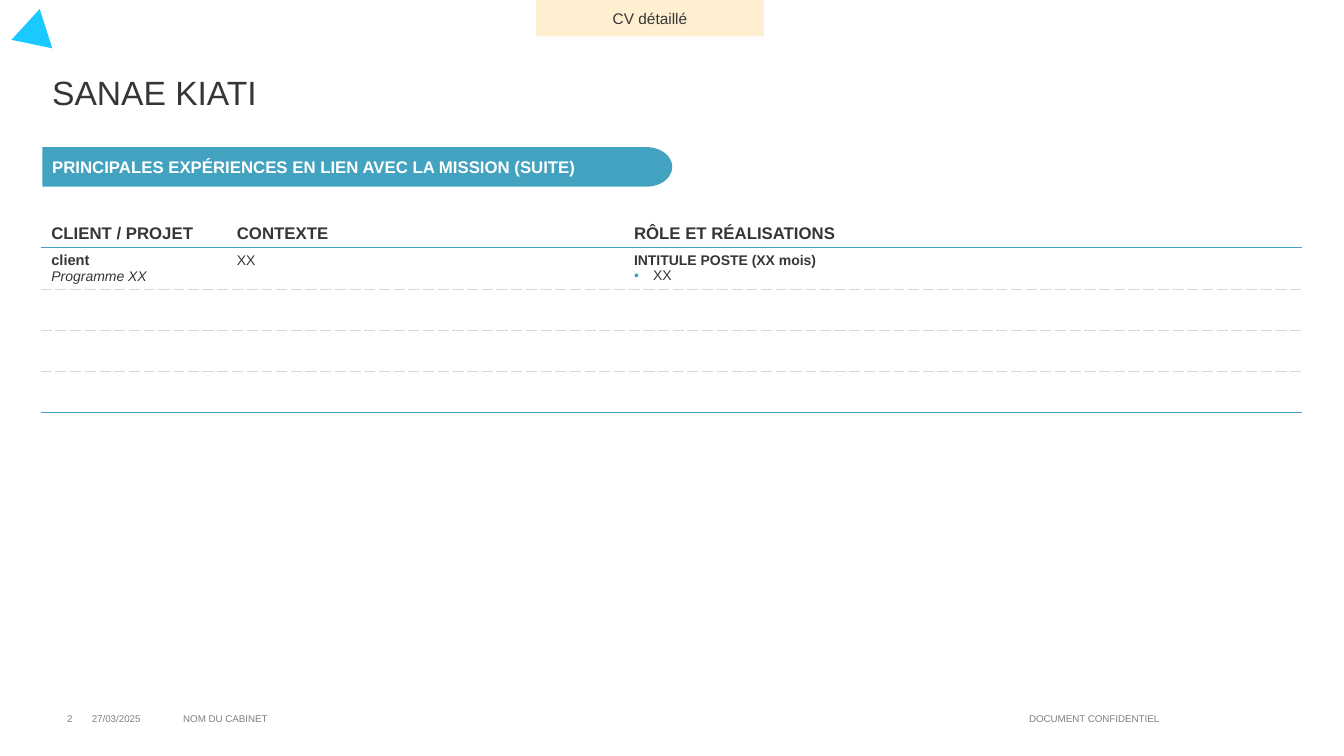
import math
import lxml.etree
import pptx
import pptx.dml.color
import pptx.enum.shapes
import pptx.enum.text
import pptx.oxml.ns
import pptx.util

Pt = pptx.util.Pt
RGB = pptx.dml.color.RGBColor
ALIGN = pptx.enum.text.PP_ALIGN
ANCHOR = pptx.enum.text.MSO_ANCHOR
SHAPE = pptx.enum.shapes.MSO_SHAPE
qn = pptx.oxml.ns.qn

DARK = RGB(0x35, 0x36, 0x37)
GREY = RGB(0x80, 0x80, 0x80)
WHITE = RGB(0xFF, 0xFF, 0xFF)
TEAL = RGB(0x43, 0xA2, 0xBF)
CYAN = RGB(0x1A, 0xC9, 0xFF)
CREAM = RGB(0xFF, 0xEF, 0xD1)
PALE = RGB(0xD6, 0xD7, 0xD8)

TITLE = "SANAE KIATI"
BANNER = "PRINCIPALES EXPÉRIENCES EN LIEN AVEC LA MISSION (SUITE)"
TAG = "CV détaillé"
FOOTER = [
    ("2", 30.2, 28.8, ALIGN.RIGHT, True),
    ("27/03/2025", 58.5, 64.8, ALIGN.LEFT, True),
    ("NOM DU CABINET", 123.8, 604, ALIGN.LEFT, True),
    ("DOCUMENT CONFIDENTIEL", 727.2, 108.7, ALIGN.CENTER, False),
]
HEADS = ["CLIENT / PROJET", "CONTEXTE", "RÔLE ET RÉALISATIONS"]
HEAD = {"size": Pt(12), "bold": True}
BODY = {"size": Pt(10)}
ENTRY = [
    [("client", {"size": Pt(10.5), "bold": True}, False),
     ("Programme XX", {"size": Pt(10), "italic": True}, False)],
    [("XX", BODY, False)],
    [("INTITULE POSTE (XX mois)", {"size": Pt(10), "bold": True}, False),
     ("XX", BODY, True)],
]
ROWS = [[[(head, HEAD, False)] for head in HEADS], ENTRY] + [[[], [], []]] * 3
WIDTHS = [132.5, 283.7, 483.8]
HEIGHTS = [20.4, 30, 29.3, 29.3, 29.3]


def style(run, color, form):
    run.font.name = "Arial"
    run.font.color.rgb = color
    for key, value in form.items():
        setattr(run.font, key, value)


def write(shape, text, color, form, align=ALIGN.LEFT, wrap=True):
    frame = shape.text_frame
    frame.word_wrap = wrap
    frame.vertical_anchor = ANCHOR.MIDDLE
    para = frame.paragraphs[0]
    para.alignment = align
    run = para.add_run()
    run.text = text
    style(run, color, form)


def paint(shape, color):
    shape.shadow.inherit = False
    shape.fill.solid()
    shape.fill.fore_color.rgb = color
    shape.line.fill.background()


def node(parent, tag, **attrs):
    return lxml.etree.SubElement(parent, qn("a:" + tag), attrs)


def border(cell, side, color, dash="solid"):
    line = node(cell._tc.get_or_add_tcPr(), "ln" + side, w=str(Pt(1)))
    node(node(line, "solidFill"), "srgbClr", val=str(color))
    node(line, "prstDash", val=dash)


def bullet(para):
    props = para._p.get_or_add_pPr()
    props.set("marL", str(Pt(13.7)))
    props.set("indent", str(-Pt(13.7)))
    node(node(props, "buClr"), "srgbClr", val=str(TEAL))
    node(props, "buFont", typeface="Arial")
    node(props, "buChar", char="•")


def fill_cell(cell, lines):
    for at, (text, form, dot) in enumerate(lines):
        frame = cell.text_frame
        para = frame.add_paragraph() if at else frame.paragraphs[0]
        if dot:
            bullet(para)
        run = para.add_run()
        run.text = text
        style(run, DARK, form)


def add_grid(slide):
    count = len(ROWS)
    frame = slide.shapes.add_table(count, len(WIDTHS), Pt(29.5), Pt(156.2),
                                   Pt(sum(WIDTHS)), Pt(sum(HEIGHTS)))
    table = frame.table
    table.first_row = table.horz_banding = False
    for col, width in zip(table.columns, WIDTHS):
        col.width = Pt(width)
    for row, height in zip(table.rows, HEIGHTS):
        row.height = Pt(height)
    strong, soft = (TEAL, "solid"), (PALE, "sysDash")
    rules = [None, strong] + [soft] * (count - 2) + [strong]
    for r, row in enumerate(ROWS):
        for c, lines in enumerate(row):
            cell = table.cell(r, c)
            fill_cell(cell, lines)
            cell.vertical_anchor = ANCHOR.TOP if r else ANCHOR.MIDDLE
            if c:
                border(cell, "L", WHITE)
            if c < len(WIDTHS) - 1:
                border(cell, "R", WHITE)
            if rules[r]:
                border(cell, "T", *rules[r])
            border(cell, "B", *rules[r + 1])
            cell.fill.background()


def add_banner(slide):
    left, top, bend, rx, ry = 30.2, 105.1, 461.8, 18.4, 14.1
    turns = [math.radians(a) for a in range(-90, 91, 6)]
    curve = [(Pt(bend + rx * math.cos(t)), Pt(top + ry + ry * math.sin(t)))
             for t in turns]
    pen = slide.shapes.build_freeform(Pt(left), Pt(top))
    pen.add_line_segments(curve + [(Pt(left), Pt(top + 2 * ry))], close=True)
    banner = pen.convert_to_shape()
    paint(banner, TEAL)
    write(banner, BANNER, WHITE, HEAD)


def main():
    deck = pptx.Presentation()
    deck.slide_width, deck.slide_height = Pt(960), Pt(540)
    slide = deck.slides.add_slide(deck.slide_layouts[6])
    shapes = slide.shapes
    mark = shapes.add_shape(SHAPE.ISOSCELES_TRIANGLE,
                            Pt(5.8), Pt(11.5), Pt(29.5), Pt(25.9))
    mark.rotation = 252.2
    paint(mark, CYAN)
    add_grid(slide)
    title = shapes.add_textbox(Pt(30.2), Pt(38.2), Pt(900), Pt(54.7))
    write(title, TITLE, DARK, {"size": Pt(24)})
    add_banner(slide)
    tag = shapes.add_shape(SHAPE.RECTANGLE, Pt(383), Pt(0), Pt(162.7), Pt(26))
    paint(tag, CREAM)
    write(tag, TAG, DARK, {"size": Pt(11)}, ALIGN.CENTER)
    for text, left, width, align, wrap in FOOTER:
        box = shapes.add_textbox(Pt(left), Pt(499), Pt(width), Pt(28.8))
        write(box, text, GREY, {"size": Pt(7)}, align, wrap)
    deck.save("out.pptx")


if __name__ == "__main__":
    main()
